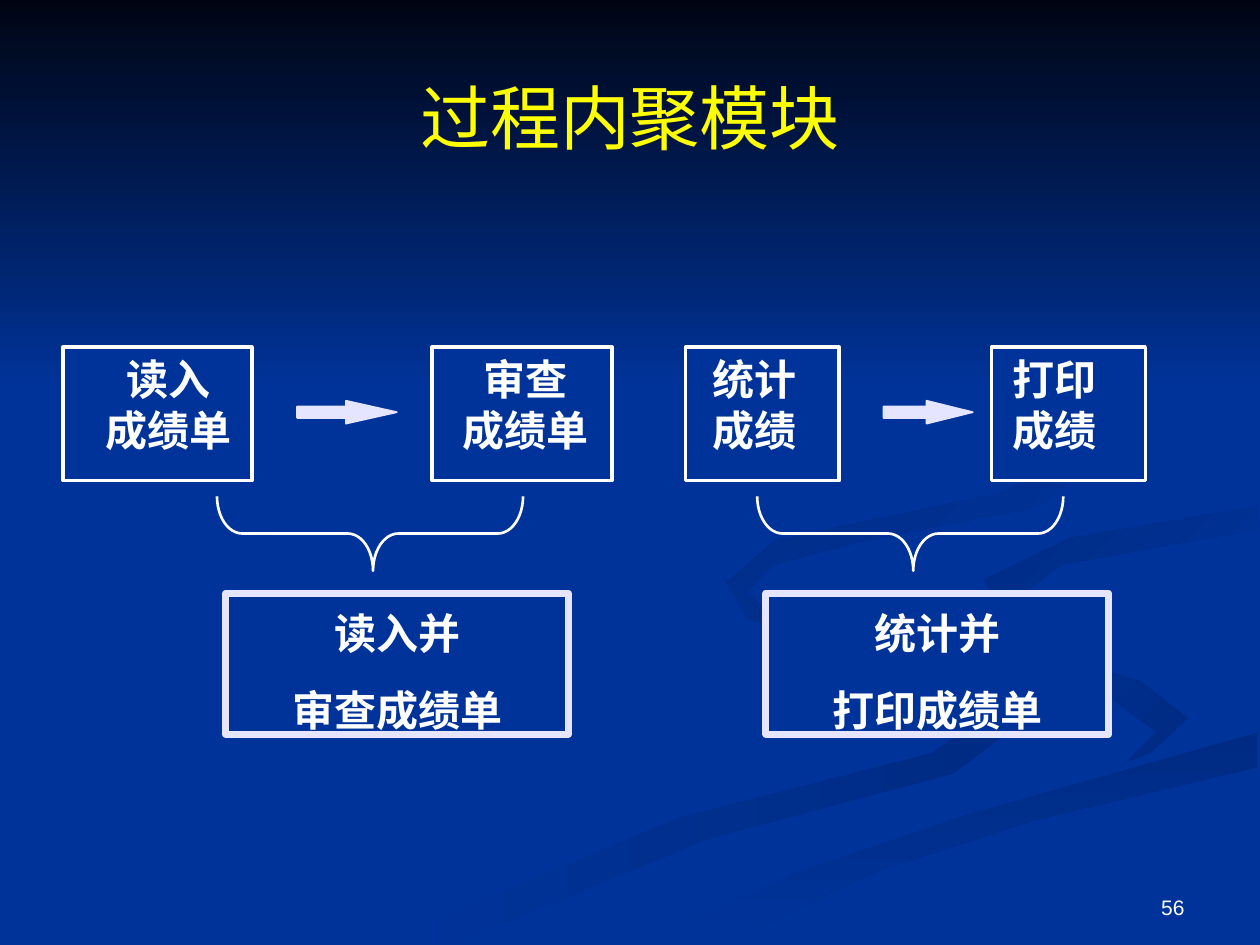
from lxml.etree import SubElement
from pptx import Presentation
from pptx.dml.color import RGBColor
from pptx.enum.shapes import MSO_SHAPE as Shape
from pptx.enum.text import MSO_ANCHOR as Anchor, PP_ALIGN as Align
from pptx.oxml.ns import qn
from pptx.util import Cm, Pt

BLUE = RGBColor(0x00, 0x33, 0x99)
NIGHT = RGBColor(0x00, 0x05, 0x14)
SHADE = RGBColor(0x00, 0x2B, 0x84)
WHITE = RGBColor(0xFF, 0xFF, 0xFF)
LAVENDER = RGBColor(0xE5, 0xE5, 0xFF)
YELLOW = RGBColor(0xFF, 0xFF, 0x00)
CJK = "Noto Sans CJK SC"

UNIT = Cm(0.0254)  # ribbon points lie on a grid of 1000 by 750 units
PAIR_STEP = 10.89  # distance between the two merged modules, in cm
STEP_TOP, STEP_HEIGHT = 7, 2.69

# Each ribbon: first colour, last colour, clockwise angle, outline points
RIBBONS = [
    (BLUE, SHADE, 0, [
        (781, 553), (642, 507), (575, 459), (593, 491), (752, 543), (786, 566),
        (739, 598), (539, 649), (300, 749), (361, 749), (564, 665), (756, 614),
        (800, 581)]),
    (BLUE, SHADE, 45, [
        (943, 570), (905, 540), (774, 503), (724, 464), (746, 500), (868, 544),
        (918, 581), (894, 605), (932, 589)]),
    (SHADE, BLUE, 90, [
        (503, 749), (571, 749), (695, 692), (821, 651), (998, 609), (998, 581),
        (764, 647), (630, 693)]),
    (BLUE, BLUE, 0, [
        (725, 464), (775, 503), (905, 540), (943, 570), (911, 600), (663, 668),
        (477, 749), (503, 749), (630, 693), (765, 647), (999, 581), (999, 538),
        (848, 503), (781, 463), (850, 427), (999, 402), (999, 387), (770, 427)]),
    (SHADE, BLUE, 45, [
        (781, 460), (791, 478), (826, 496), (805, 476), (843, 448), (998, 420),
        (998, 402), (849, 427)]),
    (SHADE, BLUE, 45, [
        (683, 430), (825, 402), (894, 344), (843, 275), (762, 233), (870, 299),
        (882, 354), (791, 392), (615, 429), (577, 462), (622, 500), (593, 470),
        (614, 448)]),
    (NIGHT, BLUE, 90, [(0, 0), (0, 308), (1000, 308), (1000, 0)]),
]


def write(frame, lines, size=24, color=WHITE, font=CJK, bold=False,
          align=Align.CENTER, anchor=Anchor.TOP, gap=0, wrap=True):
    """Fill a text frame with one paragraph per line; gap is the points between."""
    frame.word_wrap = wrap
    frame.vertical_anchor = anchor
    frame.margin_left = frame.margin_right = Cm(0.25)
    frame.margin_top = frame.margin_bottom = Cm(0.13)
    for index, line in enumerate(lines):
        para = frame.add_paragraph() if index else frame.paragraphs[0]
        para.alignment = align
        para.space_before = Pt(gap if index else 0)
        span = para.add_run()
        span.text = line
        span.font.size = Pt(size)
        span.font.bold = bold
        span.font.color.rgb = color
        span.font.name = font
        SubElement(span._r.get_or_add_rPr(), qn("a:ea"), typeface=font)


class Painter:
    """Draws the elements of one page; places are (left, top, width, height) in cm."""

    def __init__(self, page):
        self.shapes = page.shapes
        page.background.fill.solid()
        page.background.fill.fore_color.rgb = BLUE

    def title(self, text, place):
        box = self.shapes.title
        box.left, box.top, box.width, box.height = map(Cm, place)
        write(box.text_frame, [text], size=40, color=YELLOW, anchor=Anchor.MIDDLE)
        self.shapes.element.append(box.element)  # bring in front of the ribbons

    def ribbon(self, first, last, angle, points):
        builder = self.shapes.build_freeform(*points[0], scale=UNIT)
        builder.add_line_segments(points[1:], close=True)
        outline = builder.convert_to_shape()
        outline.shadow.inherit = False
        outline.line.fill.background()
        if first == last:
            outline.fill.solid()
            outline.fill.fore_color.rgb = first
            return
        outline.fill.gradient()
        outline.fill.gradient_angle = -angle % 360
        for stop, color in zip(outline.fill.gradient_stops, (first, last)):
            stop.color.rgb = color

    def preset(self, kind, place, fill=BLUE, line=WHITE, width=2, adjust=()):
        shape = self.shapes.add_shape(kind, *map(Cm, place))
        shape.shadow.inherit = False
        if fill is None:
            shape.fill.background()
        else:
            shape.fill.solid()
            shape.fill.fore_color.rgb = fill
        shape.line.color.rgb = line
        shape.line.width = Pt(width)
        for index, value in enumerate(adjust):
            shape.adjustments[index] = value
        return shape

    def arrow(self, left, width, head):
        place = (left, 8.08, width, 0.46)
        self.preset(Shape.RIGHT_ARROW, place, LAVENDER, LAVENDER, 1, (0.5, head))

    def brace(self, place):
        brace = self.preset(Shape.LEFT_BRACE, place, None, WHITE, 1.5, (0.34, 0.51))
        brace.rotation = 270

    def text(self, lines, place, **style):
        box = self.shapes.add_textbox(*map(Cm, place))
        write(box.text_frame, lines, **style)


def main():
    deck = Presentation()
    deck.slide_width, deck.slide_height = Cm(25.4), Cm(19.05)
    painter = Painter(deck.slides.add_slide(deck.slide_layouts[5]))

    for ribbon in RIBBONS:
        painter.ribbon(*ribbon)
    painter.title("过程内聚模块", (1.27, 0.76, 22.86, 3.18))
    painter.text(["56"], (18.21, 17.35, 5.92, 1.32), size=12, font="Arial",
                 align=Align.RIGHT, anchor=Anchor.BOTTOM)

    # Words, box left and width, label left and width, alignment
    steps = [
        (["读入", "成绩单"], 1.27, 3.81, 1.88, 3.05, Align.CENTER),
        (["审查", "成绩单"], 8.71, 3.63, 9.07, 3.05, Align.CENTER),
        (["统计", "成绩"], 13.82, 3.1, 14.12, 2.21, Align.LEFT),
        (["打印", "成绩"], 19.99, 3.1, 20.17, 2.9, Align.LEFT),
    ]
    for lines, left, width, label_left, label_width, align in steps:
        painter.preset(Shape.RECTANGLE, (left, STEP_TOP, width, STEP_HEIGHT))
        painter.text(lines, (label_left, STEP_TOP, label_width, 2.29),
                     bold=True, align=align, wrap=align == Align.LEFT)
    painter.arrow(5.99, 2.01, 2.23)
    painter.arrow(17.81, 1.8, 2.02)

    merged = [["读入并", "审查成绩单"], ["统计并", "打印成绩单"]]
    for index, lines in enumerate(merged):
        shift = index * PAIR_STEP
        painter.preset(Shape.RECTANGLE, (4.55 + shift, 11.96, 6.91, 2.84),
                       line=LAVENDER, width=4)
        painter.text(lines, (4.55 + shift, 12.12, 6.91, 2.82), bold=True, gap=15)
        painter.brace((6.71 + shift, 7.67, 1.5, 6.17))

    deck.save("out.pptx")


if __name__ == "__main__":
    main()
